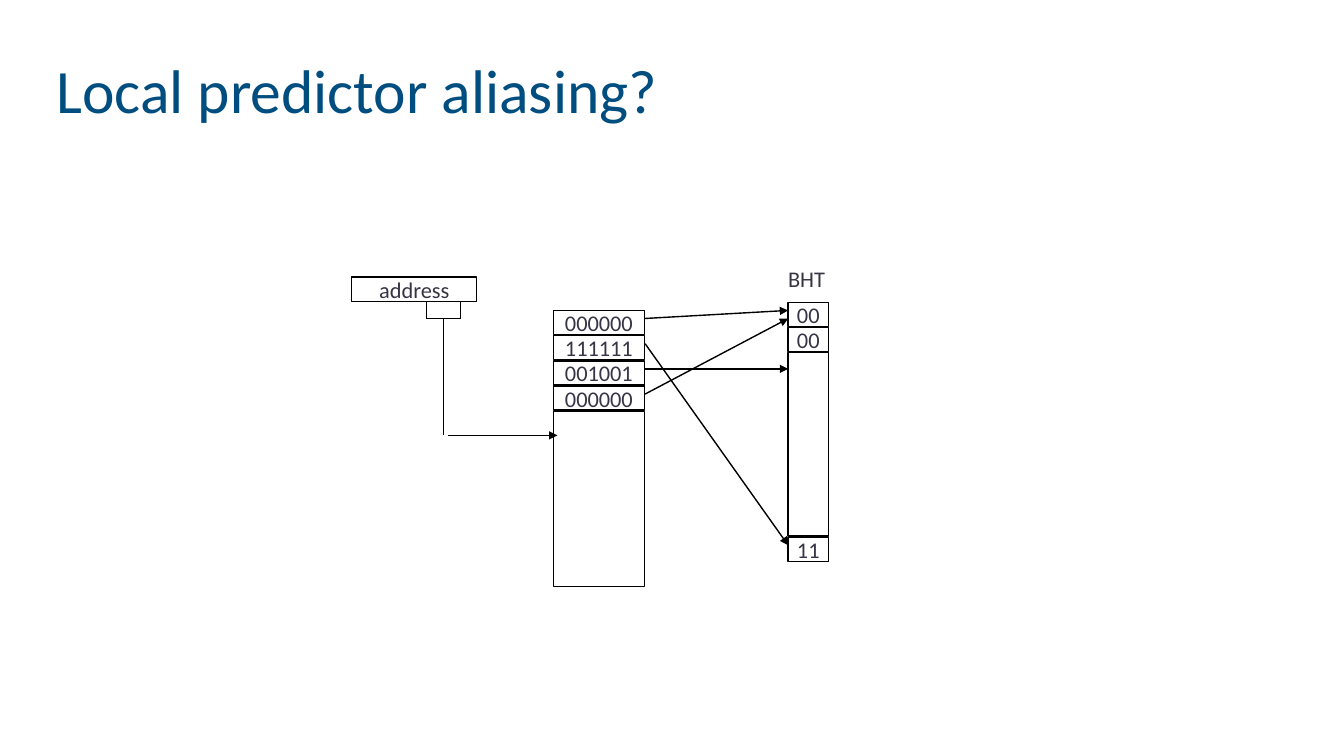
from pptx import Presentation
from pptx.dml.color import RGBColor
from pptx.enum.shapes import MSO_CONNECTOR, MSO_SHAPE
from pptx.enum.text import MSO_ANCHOR, MSO_AUTO_SIZE, PP_ALIGN
from pptx.oxml.ns import qn
from pptx.util import Pt
from lxml.etree import SubElement

COLORS = {"title": "004D80", "text": "373545", "line": "000000"}
ROW_PITCH, ROW_HEIGHT = 18, 17.3
HISTORY_LEFT, HISTORY_TOP, HISTORY_WIDTH = 395.3, 221.75, 65
BHT_LEFT, BHT_TOP, BHT_WIDTH = 563, 216, 28.8

deck = Presentation()
deck.slide_width, deck.slide_height = Pt(960), Pt(540)
page = deck.slides.add_slide(deck.slide_layouts[5])


def add_box(left, top, width, height, text=""):
    box = page.shapes.add_shape(MSO_SHAPE.RECTANGLE, Pt(left), Pt(top), Pt(width), Pt(height))
    box.shadow.inherit = False
    box.fill.background()
    box.line.color.rgb = RGBColor.from_string(COLORS["line"])
    box.line.width = Pt(1)
    if text:
        frame = box.text_frame
        frame.word_wrap = False
        frame.vertical_anchor = MSO_ANCHOR.MIDDLE
        para = frame.paragraphs[0]
        para.alignment = PP_ALIGN.CENTER
        span = para.add_run()
        span.text = text
        span.font.name, span.font.size = "Calibri", Pt(16)
        span.font.color.rgb = RGBColor.from_string(COLORS["text"])


def add_line(x1, y1, x2, y2, arrow=False):
    line = page.shapes.add_connector(MSO_CONNECTOR.STRAIGHT, Pt(x1), Pt(y1), Pt(x2), Pt(y2))
    line.line.color.rgb = RGBColor.from_string(COLORS["line"])
    line.line.width = Pt(1)
    if arrow:
        SubElement(line.line._get_or_add_ln(), qn("a:tailEnd"), type="triangle")
    SubElement(line._element.spPr, qn("a:effectLst"))


# Title
title = page.shapes.title
title.left, title.top, title.width, title.height = Pt(33.1), Pt(14.4), Pt(909.4), Pt(104.4)
title.text_frame.auto_size = MSO_AUTO_SIZE.NONE
title.text_frame.vertical_anchor = MSO_ANCHOR.MIDDLE
para = title.text_frame.paragraphs[0]
para.alignment = PP_ALIGN.LEFT
para.line_spacing = 0.9
span = para.add_run()
span.text = "Local predictor aliasing?"
span.font.name, span.font.size = "Calibri", Pt(44)
span.font.color.rgb = RGBColor.from_string(COLORS["title"])

# Local history table
histories = ["000000", "111111", "001001", "000000"]
add_box(HISTORY_LEFT, HISTORY_TOP + len(histories) * ROW_PITCH, HISTORY_WIDTH, 125.3)
for row, history in enumerate(histories):
    add_box(HISTORY_LEFT, HISTORY_TOP + row * ROW_PITCH, HISTORY_WIDTH, ROW_HEIGHT, history)

# Address and the index bits taken from it
add_box(251.3, 198, 89.3, ROW_HEIGHT, "address")
add_line(304.5, 215.3, 304.5, 227.5)
add_line(304.5, 227.5, 329, 227.5)
add_line(329, 227.5, 329, 215.3)
add_line(316.8, 227.5, 316.8, 311)
add_line(319.7, 311, 398.2, 311, arrow=True)

# Branch history table
label = page.shapes.add_textbox(Pt(555.8), Pt(185.8), Pt(42.5), Pt(26.6))
label.text_frame.word_wrap = False
label.text_frame.auto_size = MSO_AUTO_SIZE.SHAPE_TO_FIT_TEXT
span = label.text_frame.paragraphs[0].add_run()
span.text = "BHT"
span.font.name, span.font.size = "Calibri", Pt(16)
span.font.color.rgb = RGBColor.from_string(COLORS["text"])

for top, counter in [(BHT_TOP, "00"), (BHT_TOP + ROW_PITCH, "00"), (383.75, "11")]:
    add_box(BHT_LEFT, top, BHT_WIDTH, ROW_HEIGHT, counter)
add_box(BHT_LEFT, BHT_TOP + 2 * ROW_PITCH, BHT_WIDTH, 131)

# Each history points at its counter
for row, target in enumerate([221.75, 389.5, 263.5, 227.5]):
    add_line(460.8, 227.5 + row * ROW_PITCH, BHT_LEFT, target, arrow=True)

deck.save("out.pptx")
